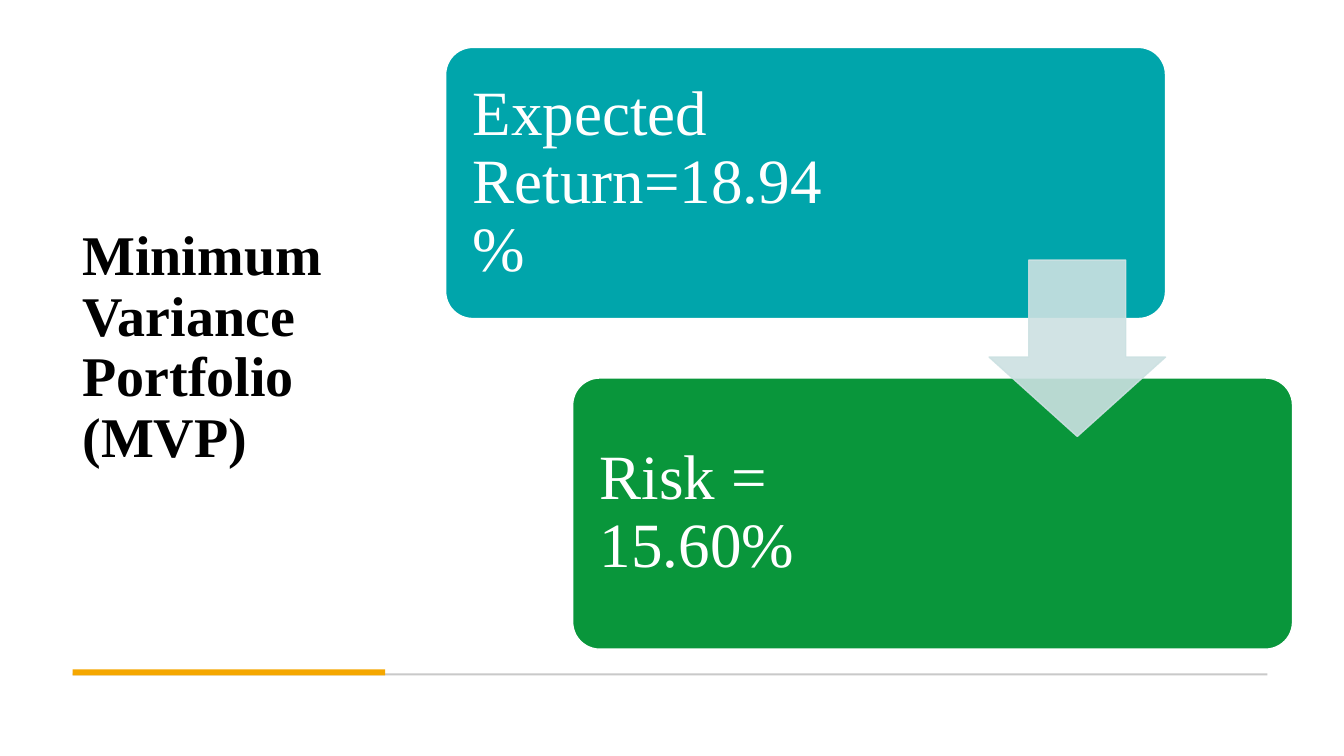
from pptx import Presentation
from pptx.dml.color import RGBColor
from pptx.enum.shapes import MSO_SHAPE
from pptx.enum.text import MSO_ANCHOR
from pptx.oxml import parse_xml
from pptx.oxml.ns import nsdecls
from pptx.util import Inches, Pt


def color(value):
    return RGBColor.from_string(value)


def add_block(s, kind, box, fill, line=None, adjustments=()):
    sp = s.shapes.add_shape(kind, *map(Inches, box))
    sp.shadow.inherit = False
    sp.fill.solid()
    sp.fill.fore_color.rgb = color(fill)
    if line:
        sp.line.fill.solid()
        sp.line.color.rgb = color(line)
        sp.line.width = Pt(1)
    else:
        sp.line.fill.background()
    for i, value in enumerate(adjustments):
        sp.adjustments[i] = value
    return sp


def add_text(s, box, text, inset, font):
    tf = s.shapes.add_textbox(*map(Inches, box)).text_frame
    side, top = map(Inches, inset)
    frame = {"word_wrap": True, "vertical_anchor": MSO_ANCHOR.MIDDLE,
             "margin_left": side, "margin_right": side,
             "margin_top": top, "margin_bottom": top}
    for name, value in frame.items():
        setattr(tf, name, value)
    p = tf.paragraphs[0]
    p.line_spacing = 0.9
    r = p.add_run()
    r.text = text
    for name, value in font.items():
        setattr(r.font, name, value)
    r.font.name = "Times New Roman"
    return r


def add_card(s, left, top, text_width, text, fill):
    add_block(s, MSO_SHAPE.ROUNDED_RECTANGLE, (left, top, 7.14, 2.69),
              fill, "FFFFFF", [0.1])
    r = add_text(s, (left + 0.08, top + 0.08, text_width, 2.53), text,
                 (0.19, 0.19), {"size": Pt(45)})
    r.font.color.rgb = color("FFFFFF")


def add_arrow(s, box, fill):
    sp = add_block(s, MSO_SHAPE.DOWN_ARROW, box, fill, fill, [0.55, 0.45])
    for clr in sp._element.spPr.xpath(".//a:srgbClr"):
        clr.append(parse_xml(f'<a:alpha {nsdecls("a")} val="90000"/>'))


def main():
    prs = Presentation()
    prs.slide_width, prs.slide_height = Inches(13.33), Inches(7.5)
    s = prs.slides.add_slide(prs.slide_layouts[6])

    title = add_text(s, (0.72, 0.47, 3.1, 5.97),
                     "Minimum Variance Portfolio (MVP)", (0.1, 0.05),
                     {"size": Pt(40), "bold": True})
    title.font.color.rgb = color("000000")

    add_block(s, MSO_SHAPE.RECTANGLE, (0.72, 6.68, 11.85, 0.02), "C9C9C9")
    add_block(s, MSO_SHAPE.RECTANGLE, (0.72, 6.64, 3.1, 0.06), "F5A700")

    add_card(s, 4.42, 0.47, 4.36, "Expected Return=18.94%", "00A5AB")
    add_card(s, 5.68, 3.75, 3.97, "Risk = 15.60%", "09963B")
    add_arrow(s, (9.81, 2.58, 1.75, 1.75), "CCE1E2")

    prs.save("out.pptx")


if __name__ == "__main__":
    main()
